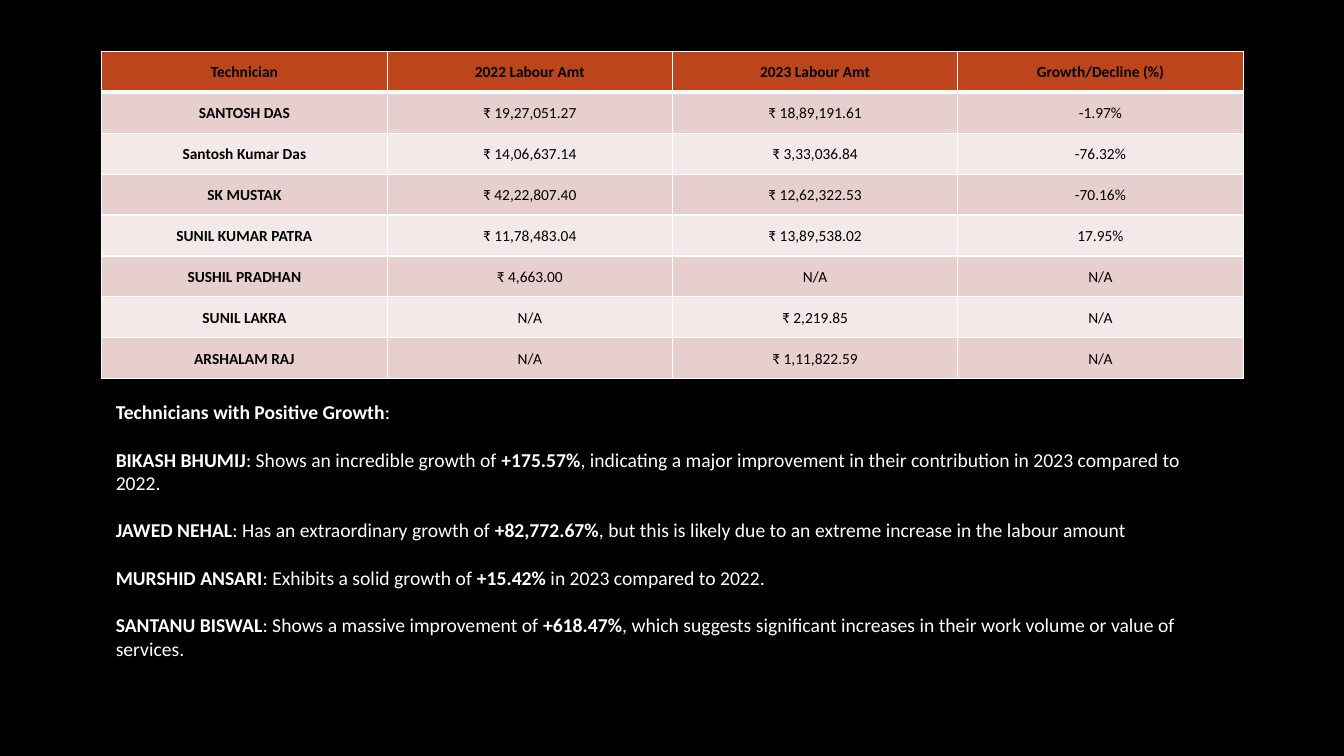
from lxml import etree
from pptx import Presentation
from pptx.dml.color import RGBColor
from pptx.enum.text import MSO_ANCHOR, PP_ALIGN
from pptx.oxml.ns import qn
from pptx.util import Inches, Pt

COLORS = {
    "background": "000000",
    "header": "BC451B",
    "odd_row": "E7CFCD",
    "even_row": "F3E9E8",
    "border": "FFFFFF",
    "table_text": "000000",
    "notes_text": "FFFFFF",
}


def add_text(paragraph, text, size, color, bold=False, align=PP_ALIGN.LEFT):
    paragraph.alignment = align
    run = paragraph.add_run()
    run.text = text
    run.font.name = "Calibri"
    run.font.size = Pt(size)
    run.font.bold = bold
    run.font.color.rgb = RGBColor.from_string(COLORS[color])


def add_border(cell, side, width):
    """Draw one cell edge; call in the order L, R, T, B and before the fill."""
    properties = cell._tc.get_or_add_tcPr()
    edge = etree.SubElement(properties, qn(f"a:ln{side}"), w=str(Pt(width)))
    fill = etree.SubElement(edge, qn("a:solidFill"))
    etree.SubElement(fill, qn("a:srgbClr"), val=COLORS["border"])


prs = Presentation()
prs.slide_width, prs.slide_height = Inches(13.33), Inches(7.5)
slide = prs.slides.add_slide(prs.slide_layouts[6])
slide.background.fill.solid()
slide.background.fill.fore_color.rgb = RGBColor.from_string(COLORS["background"])

# Labour amounts by technician
labour_rows = [
    ("Technician", "2022 Labour Amt", "2023 Labour Amt", "Growth/Decline (%)"),
    ("SANTOSH DAS", "₹ 19,27,051.27", "₹ 18,89,191.61", "-1.97%"),
    ("Santosh Kumar Das", "₹ 14,06,637.14", "₹ 3,33,036.84", "-76.32%"),
    ("SK MUSTAK", "₹ 42,22,807.40", "₹ 12,62,322.53", "-70.16%"),
    ("SUNIL KUMAR PATRA", "₹ 11,78,483.04", "₹ 13,89,538.02", "17.95%"),
    ("SUSHIL PRADHAN", "₹ 4,663.00", "N/A", "N/A"),
    ("SUNIL LAKRA", "N/A", "₹ 2,219.85", "N/A"),
    ("ARSHALAM RAJ", "N/A", "₹ 1,11,822.59", "N/A"),
]
labour_table = slide.shapes.add_table(
    len(labour_rows), len(labour_rows[0]),
    Inches(1.01), Inches(0.51), Inches(11.32), Inches(3.25),
).table

for row, values in enumerate(labour_rows):
    if row == 0:
        row_color = "header"
    else:
        row_color = "odd_row" if row % 2 else "even_row"
    for column, value in enumerate(values):
        cell = labour_table.cell(row, column)
        cell.margin_left = cell.margin_right = cell.margin_top = Inches(0.01)
        cell.margin_bottom = 0
        cell.vertical_anchor = MSO_ANCHOR.MIDDLE
        for side in "LRTB":
            below_header = (row, side) in ((0, "B"), (1, "T"))
            add_border(cell, side, 3 if below_header else 1)
        cell.fill.solid()
        cell.fill.fore_color.rgb = RGBColor.from_string(COLORS[row_color])
        add_text(cell.text_frame.paragraphs[0], value, size=11, color="table_text",
                 bold=row == 0 or column == 0, align=PP_ALIGN.CENTER)

# Growth notes: the pieces of each line alternate between bold and regular
growth_notes = [
    ("Technicians with Positive Growth", ":"),
    ("BIKASH BHUMIJ", ": Shows an incredible growth of ", "+175.57%",
     ", indicating a major improvement in their contribution in 2023 compared to 2022."),
    ("JAWED NEHAL", ": Has an extraordinary growth of ", "+82,772.67%",
     ", but this is likely due to an extreme increase in the labour amount"),
    ("MURSHID ANSARI", ": Exhibits a solid growth of ", "+15.42%",
     " in 2023 compared to 2022."),
    ("SANTANU BISWAL", ": Shows a massive improvement of ", "+618.47%",
     ", which suggests significant increases in their work volume or value of services."),
]
notes_frame = slide.shapes.add_textbox(
    Inches(1.05), Inches(3.92), Inches(11.24), Inches(2.69)).text_frame
notes_frame.word_wrap = True

for index, pieces in enumerate(growth_notes):
    paragraph = notes_frame.add_paragraph() if index else notes_frame.paragraphs[0]
    paragraph.space_before = Pt(17 if index else 0)
    for position, piece in enumerate(pieces):
        add_text(paragraph, piece, size=14, color="notes_text", bold=position % 2 == 0)

prs.save("out.pptx")
